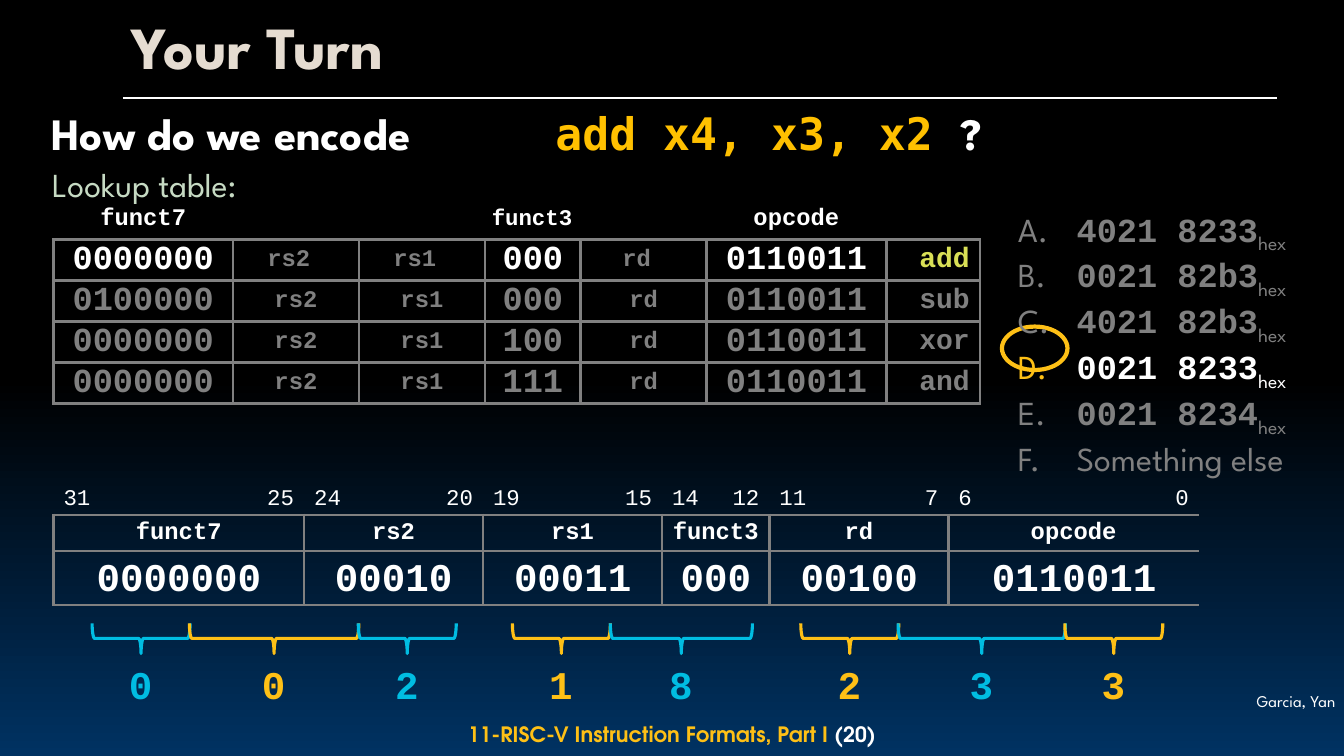
from copy import deepcopy
from dataclasses import dataclass

from pptx import Presentation, util as u
from pptx.dml.color import RGBColor
from pptx.enum import shapes, text
from pptx.oxml import ns, xmlchemy

Pt = u.Pt
WHITE, GREY, GOLD, CYAN = "FFFFFF", "808080", "FEC016", "00BDE2"
SPARTAN, COURIER = "League Spartan", "Courier New"
LEFT, CENTER, RIGHT = text.PP_ALIGN.LEFT, text.PP_ALIGN.CENTER, text.PP_ALIGN.RIGHT
TOP, MIDDLE, BOTTOM = (text.MSO_ANCHOR.TOP, text.MSO_ANCHOR.MIDDLE,
                       text.MSO_ANCHOR.BOTTOM)
TABLE_LEFT = 38.2
BIT_WIDTH = 25.58


@dataclass
class Run:
    words: str
    size: float
    color: str = WHITE
    font: str = SPARTAN
    bold: bool = False
    baseline: int = 0


@dataclass
class Field:
    name: str
    bits: int
    value: str

    def columns(self) -> list[float]:
        """Widths in bits of the table columns that make up the field."""
        return [1.5, 1.5] if self.bits == 3 else [2] + [1] * (self.bits - 4) + [2]


@dataclass
class Instruction:
    funct7: str
    funct3: str
    mnemonic: str


@dataclass
class HexDigit:
    digit: str
    center: float
    width: float


FIELDS = [Field("funct7", 7, "0000000"), Field("rs2", 5, "00010"),
          Field("rs1", 5, "00011"), Field("funct3", 3, "000"),
          Field("rd", 5, "00100"), Field("opcode", 7, "0110011")]
INSTRUCTIONS = [Instruction("0000000", "000", "add"), Instruction("0100000", "000", "sub"),
                Instruction("0000000", "100", "xor"), Instruction("0000000", "111", "and")]
HEX_DIGITS = [HexDigit("0", 100.8, 70), HexDigit("0", 195.8, 121),
              HexDigit("2", 290.9, 70), HexDigit("1", 401, 70),
              HexDigit("8", 486.7, 101.5), HexDigit("2", 607, 70),
              HexDigit("3", 701.3, 119.5), HexDigit("3", 795.6, 70)]
ANSWERS = ["4021 8233", "0021 82b3", "4021 82b3", "0021 8233", "0021 8234"]
CORRECT = 3


def rgb(color: str) -> RGBColor:
    return RGBColor.from_string(color)


def element(parent, tag: str, **attributes: str):
    child = xmlchemy.OxmlElement(tag)
    for key, value in attributes.items():
        child.set(key, value)
    parent.append(child)
    return child


def write(paragraph, runs: list[Run], **layout) -> None:
    for key, value in layout.items():
        setattr(paragraph, key, value)
    for part in runs:
        run = paragraph.add_run()
        run.text = part.words
        formats = {"size": Pt(part.size), "name": part.font, "bold": part.bold}
        for key, value in formats.items():
            setattr(run.font, key, value)
        run.font.color.rgb = rgb(part.color)
        if part.baseline:
            run._r.get_or_add_rPr().set("baseline", str(part.baseline * 1000))


def add_text(slide, box: tuple, runs: list[Run], wrap: bool = True,
             anchor=TOP, margins: dict | None = None, **layout):
    frame = slide.shapes.add_textbox(*map(Pt, box)).text_frame
    frame.word_wrap = wrap
    frame.vertical_anchor = anchor
    frame.auto_size = text.MSO_AUTO_SIZE.NONE if wrap else text.MSO_AUTO_SIZE.SHAPE_TO_FIT_TEXT
    for side, value in (margins or {}).items():
        setattr(frame, f"margin_{side}", Pt(value))
    write(frame.paragraphs[0], runs, **layout)
    return frame


def outline(slide, kind, box: tuple, color: str, width: float):
    shape = slide.shapes.add_shape(kind, *map(Pt, box))
    shape.shadow.inherit = False
    shape.fill.background()
    shape.line.color.rgb = rgb(color)
    shape.line.width = Pt(width)
    return shape


def add_grid(slide, top: float, widths: list[float], heights: list[float]):
    """Table with no fills and no text margins until a cell is filled in."""
    grid = slide.shapes.add_table(len(heights), len(widths), Pt(TABLE_LEFT), Pt(top),
                                  Pt(sum(widths)), Pt(sum(heights))).table
    grid.first_row = grid.horz_banding = False
    for lines, attribute, sizes in ((grid.columns, "width", widths),
                                    (grid.rows, "height", heights)):
        for line, size in zip(lines, sizes):
            setattr(line, attribute, Pt(size))
    for cell in grid.iter_cells():
        for side in ("left", "right", "top", "bottom"):
            setattr(cell, f"margin_{side}", 0)
    return grid


def border(cell, sides: str) -> None:
    """Draw the sides named by L, R, T and B, clear the others and the fill."""
    properties = cell._tc.get_or_add_tcPr()
    for side in "LRTB":
        line = element(properties, f"a:ln{side}", w=str(Pt(2.25)))
        if side in sides:
            element(element(line, "a:solidFill"), "a:srgbClr", val=GREY)
        else:
            element(line, "a:noFill")
    cell.fill.background()


def fill_cell(cell, run: Run, align, anchor, spacing: float) -> None:
    margins = {"left": 7.2, "right": 7.2, "top": 3.6, "bottom": 3.6}
    for side, value in margins.items():
        setattr(cell, f"margin_{side}", Pt(value))
    cell.vertical_anchor = anchor
    write(cell.text_frame.paragraphs[0], [run], alignment=align, line_spacing=spacing)


def paint_background(slide) -> None:
    fill = slide.background.fill
    fill.gradient()
    fill.gradient_angle = 270
    first = slide._element.find(".//" + ns.qn("a:gs"))
    first.addnext(deepcopy(first))
    for stop, (position, color) in zip(fill.gradient_stops,
                                       [(0, "000000"), (0.5, "000000"), (1, "003262")]):
        stop.position = position
        stop.color.rgb = rgb(color)


def add_frame(slide) -> None:
    """Footer, rule, title and question."""
    add_text(slide, (856, 491.8, 103.7, 18.7), [Run("Garcia, Yan", 11.7)], alignment=RIGHT,
             margins={"left": 5.8, "right": 5.8, "top": 2.2, "bottom": 2.2})
    add_text(slide, (176.4, 512.6, 607, 23), anchor=MIDDLE, alignment=CENTER, runs=[
        Run("11-RISC-V Instruction Formats, Part I ", 15.1, GOLD, "TeX Gyre Adventor", True),
        Run("(20)", 15.1, WHITE, "TeX Gyre Adventor", True)])
    rule = slide.shapes.add_connector(shapes.MSO_CONNECTOR.STRAIGHT,
                                      Pt(87.8), Pt(69.8), Pt(912.2), Pt(69.8))
    rule.line.color.rgb = rgb(WHITE)
    rule.line.width = Pt(1.5)
    element(rule._element.spPr, "a:effectLst")
    add_text(slide, (87.1, 5.8, 827.3, 60.5), [Run("Your Turn", 42.7, "E5DCD1", bold=True)],
             anchor=MIDDLE, line_spacing=0.9)
    question = add_text(slide, (23, 72, 892, 60.5), [], margins={"left": 13.7})
    tabs = element(question.paragraphs[0]._p.get_or_add_pPr(), "a:tabLst")
    element(tabs, "a:tab", pos=str(Pt(360)), algn="l")
    write(question.paragraphs[0], [
        Run("How do we encode\t", 32, bold=True),
        Run("add x4, x3, x2 ", 32, "FFC000", "DejaVu Sans Mono", True),
        Run("?", 32, bold=True)])


def add_lookup(slide) -> None:
    grid = add_grid(slide, 145.4, [128.2, 90, 90, 68.4, 90, 128.2, 67], [25.9] + [29.2] * 4)
    for cell in grid.rows[0].cells:
        border(cell, "B")
    for column, name in ((0, "funct7"), (5, "opcode")):
        fill_cell(grid.cell(0, column), Run(name, 17, WHITE, COURIER, True), CENTER, TOP, 0.8)
    for row, item in enumerate(INSTRUCTIONS, 1):
        chosen = row == 1
        gap = " " if chosen else ""
        bits, name = (WHITE, "D9E056") if chosen else (GREY, GREY)
        entries = [(item.funct7, 24, bits), ("rs2" + gap, 17, GREY), ("rs1" + gap, 17, GREY),
                   (item.funct3, 24, bits), ("rd" + gap, 17, GREY), ("0110011", 24, bits),
                   (item.mnemonic, 20, name)]
        for column, (words, size, color) in enumerate(entries):
            cell = grid.cell(row, column)
            border(cell, "LRTB")
            fill_cell(cell, Run(words, size, color, COURIER, True),
                      RIGHT if column == 6 else CENTER, MIDDLE if column else BOTTOM, 0.8)
    add_text(slide, (344.2, 141.8, 72.7, 26.6), [Run("funct3", 16, WHITE, COURIER, True)], False)
    add_text(slide, (30.2, 113.8, 150.5, 36), [Run("Lookup table:", 24, "C6DAC3")], False)


def add_format(slide) -> None:
    widths = [bits * BIT_WIDTH for field in FIELDS for bits in field.columns()]
    grid = add_grid(slide, 341.3, widths, [26.6, 24.5, 38.6])
    start, high = 0, 31
    for field in FIELDS:
        end, low = start + len(field.columns()) - 1, high - field.bits + 1
        for column in range(start, end + 1):
            border(grid.cell(0, column), "B")
            for row in (1, 2):
                border(grid.cell(row, column),
                       "TB" + "L" * (column == start) + "R" * (column == end))
        for column, bit, align in ((start, high, LEFT), (end, low, RIGHT)):
            fill_cell(grid.cell(0, column), Run(str(bit), 16, WHITE, COURIER), align, BOTTOM, 0.9)
        for row in (1, 2):
            grid.cell(row, start).merge(grid.cell(row, end))
        fill_cell(grid.cell(1, start), Run(field.name, 17, WHITE, COURIER, True),
                  CENTER, TOP, 0.9)
        center = TABLE_LEFT + (31 - high + field.bits / 2) * BIT_WIDTH
        width = 16.8 * field.bits + 14.4
        add_text(slide, (center - width / 2, 394.6, width, 38.9),
                 [Run(field.value, 28, WHITE, COURIER, True)], False,
                 alignment=CENTER, line_spacing=0.9)
        start, high = end + 1, low - 1


def add_hex_digits(slide) -> None:
    for index, item in enumerate(HEX_DIGITS):
        color = GOLD if index % 2 else CYAN
        brace = outline(slide, shapes.MSO_SHAPE.LEFT_BRACE,
                        (item.center - 10.8, 456 - item.width / 2, 21.6, item.width), color, 2.25)
        brace.rotation = 270
        add_text(slide, (item.center - 15.8, 468, 31.6, 41),
                 [Run(item.digit, 28, color, COURIER, True)], False)


def add_answers(slide) -> None:
    outline(slide, shapes.MSO_SHAPE.OVAL, (715.7, 233.3, 46.8, 31), GOLD, 3)
    frame = add_text(slide, (719.3, 145.4, 218.9, 181.4), [], False)
    for index, answer in enumerate([*ANSWERS, "Something else"]):
        paragraph = frame.add_paragraph() if index else frame.paragraphs[0]
        properties = paragraph._p.get_or_add_pPr()
        for key, value in {"marL": Pt(36.7), "indent": Pt(-36), "lvl": 1}.items():
            properties.set(key, str(value))
        color, letter = (WHITE, GOLD) if index == CORRECT else (GREY, GREY)
        element(element(properties, "a:buClr"), "a:srgbClr", val=letter)
        element(properties, "a:buAutoNum", type="alphaUcPeriod")
        if answer in ANSWERS:
            write(paragraph, [Run(" ", 24, color), Run(answer, 24, color, COURIER, True),
                              Run("hex", 24, color, baseline=-25)])
        else:
            write(paragraph, [Run(" " + answer, 24, color)])


def main() -> None:
    deck = Presentation()
    deck.slide_width, deck.slide_height = Pt(960), Pt(540)
    slide = deck.slides.add_slide(deck.slide_layouts[6])
    paint_background(slide)
    for draw in (add_frame, add_lookup, add_format, add_hex_digits, add_answers):
        draw(slide)
    deck.save("out.pptx")


if __name__ == "__main__":
    main()
